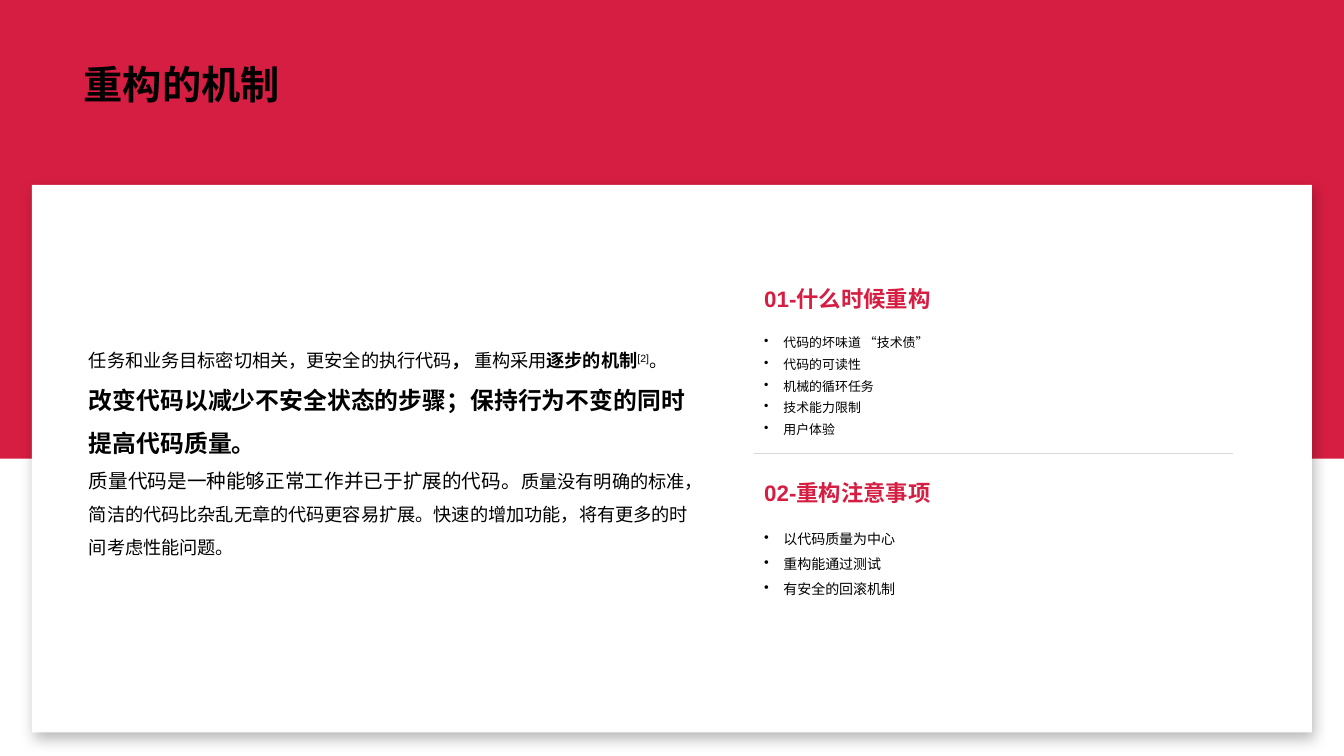
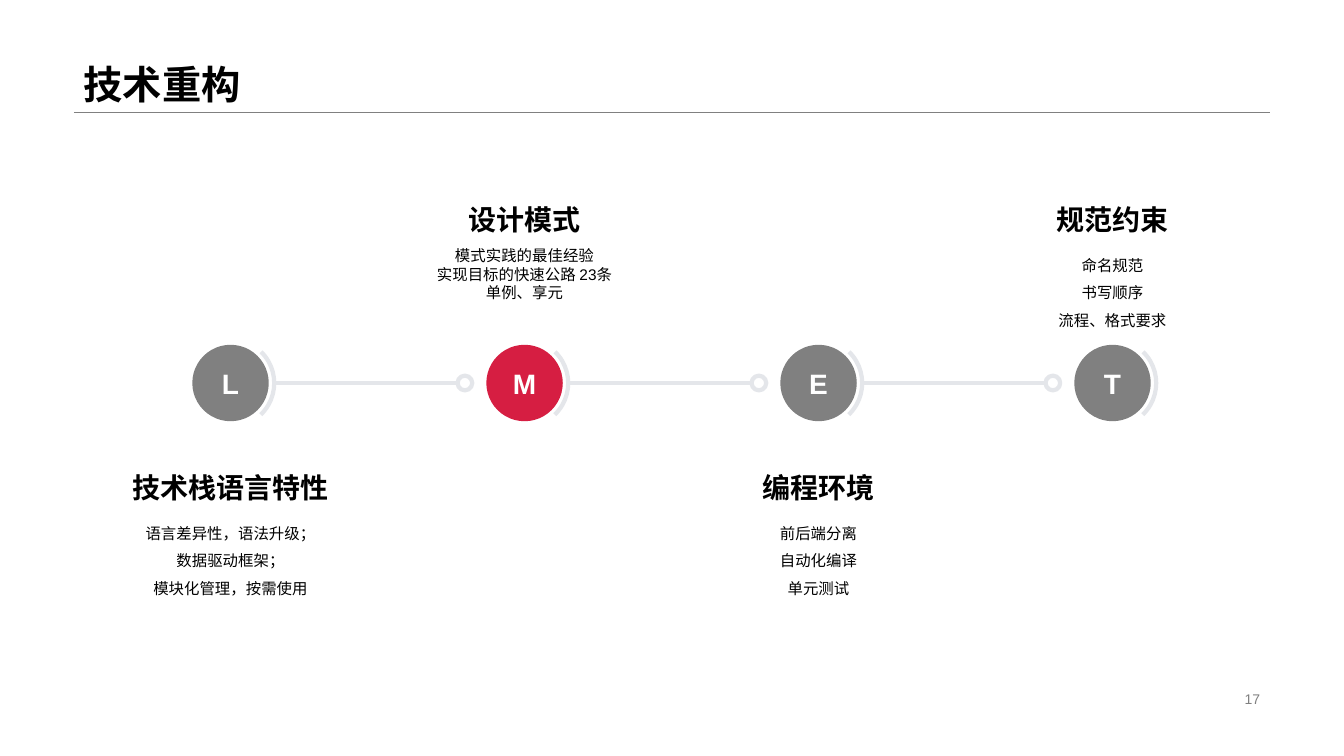
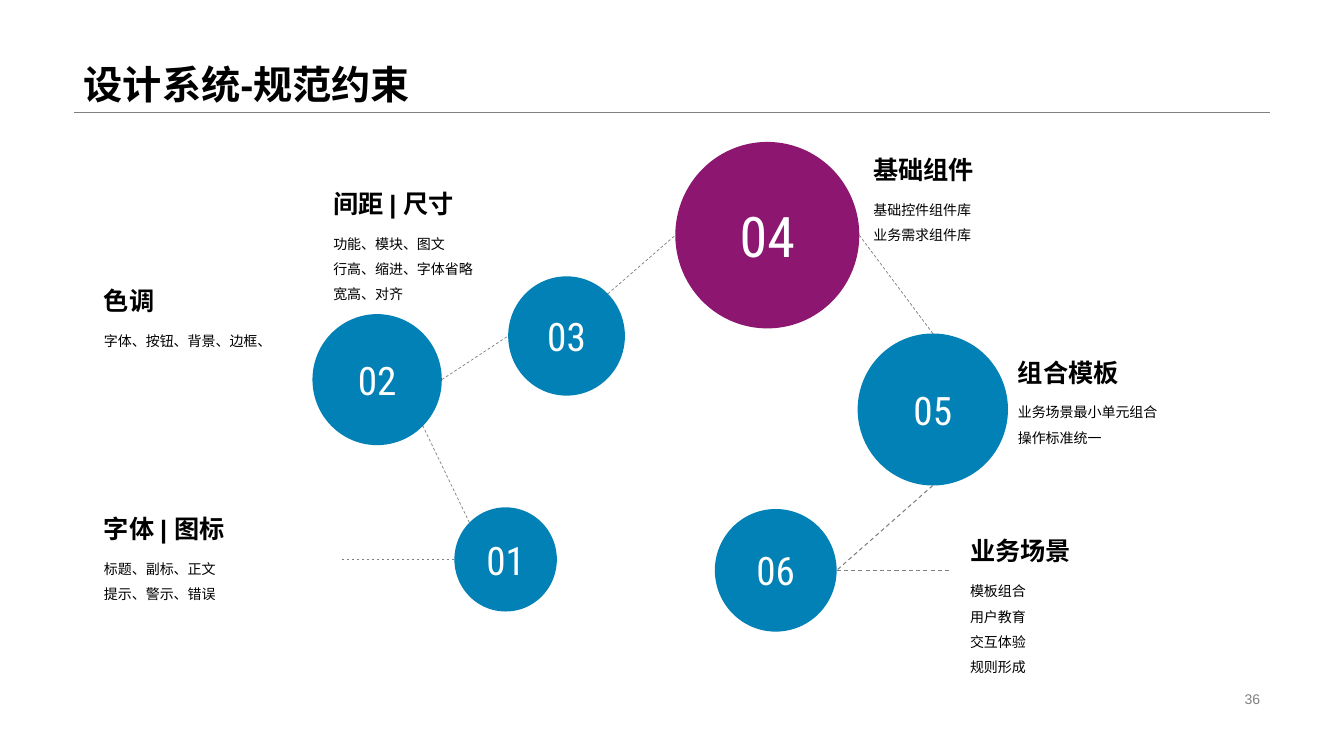
from math import cos, radians, sin

from lxml.etree import SubElement
from pptx import Presentation
from pptx.dml.color import RGBColor
from pptx.enum.dml import MSO_LINE
from pptx.enum.shapes import MSO_CONNECTOR, MSO_SHAPE
from pptx.enum.text import MSO_ANCHOR, PP_ALIGN
from pptx.oxml.ns import qn
from pptx.util import Emu, Inches, Pt

COLUMNS, ROWS = 160, 90
RED, BLUE, PURPLE = "D61E42", "0181B5", "8C1670"
BLACK, WHITE, GREY, SILVER, PALE = "000000", "FFFFFF", "808080", "E4E6EA", "D9D9D9"


def rgb(code):
    return RGBColor.from_string(code)


def grid(*cells):
    return [Emu(round(cell * Inches(1) / 12)) for cell in cells]


class Deck:
    """Holds the shared style and the current page, placing elements on a 160 by 90 grid."""

    font = "Arial"
    left, right, title_base = 8.8, 151.2, 13.4

    def __init__(self):
        self.presentation = Presentation()
        self.presentation.slide_width, self.presentation.slide_height = grid(COLUMNS, ROWS)
        self.page = None

    def new_page(self, number=None):
        self.page = self.presentation.slides.add_slide(self.presentation.slide_layouts[6])
        if number:
            self.line((self.left, self.title_base), (self.right, self.title_base), GREY, 0.25)
            self.text((113, 81.8, 38.2, 2.8), [number], 10, GREY,
                      align=PP_ALIGN.RIGHT, anchor=MSO_ANCHOR.MIDDLE)

    def title(self, title):
        self.text((self.left, 0, self.right - self.left, self.title_base), [title], 28,
                  bold=True, spacing=0.9, anchor=MSO_ANCHOR.BOTTOM)

    def shape(self, kind, area, fill=None, line=None, width=3):
        shape = self.page.shapes.add_shape(kind, *grid(*area))
        shape.shadow.inherit = False
        if fill:
            shape.fill.solid()
            shape.fill.fore_color.rgb = rgb(fill)
        else:
            shape.fill.background()
        if line:
            shape.line.color.rgb = rgb(line)
            shape.line.width = Pt(width)
        else:
            shape.line.fill.background()
        return shape

    def shadow(self, shape):
        effects = shape._element.spPr.find(qn("a:effectLst"))
        outer = SubElement(effects, qn("a:outerShdw"), blurRad=str(Pt(11)), dist=str(Pt(5)),
                           dir=str(65 * 60000), algn="ctr", rotWithShape="0")
        color = SubElement(outer, qn("a:srgbClr"), val=BLACK)
        SubElement(color, qn("a:alpha"), val="28000")

    def line(self, start, end, color, width, dash=None):
        line = self.page.shapes.add_connector(MSO_CONNECTOR.STRAIGHT, *grid(*start, *end))
        line.line.color.rgb = rgb(color)
        line.line.width = Pt(width)
        if dash:
            line.line.dash_style = dash
        SubElement(line._element.spPr, qn("a:effectLst"))

    def text(self, area, paras, size, color=BLACK, **style):
        box = self.page.shapes.add_textbox(*grid(*area))
        self.set_text(box, paras, size, color, **style)

    def set_text(self, box, paras, size, color, bold=False, spacing=None, bullet=False,
                 align=PP_ALIGN.LEFT, anchor=MSO_ANCHOR.TOP, font=None, wrap=True):
        frame = box.text_frame
        frame.word_wrap = wrap
        frame.vertical_anchor = anchor
        for index, content in enumerate(paras):
            para = frame.add_paragraph() if index else frame.paragraphs[0]
            para.alignment = align
            if bullet:
                properties = para._p.get_or_add_pPr()
                properties.set("marL", str(Inches(0.19)))
                properties.set("indent", str(-Inches(0.19)))
                SubElement(properties, qn("a:buChar"), char="•")
            if spacing:
                para.line_spacing = spacing
            para.font.name = font or self.font
            para.font.size = Pt(size)
            para.font.bold = bold
            para.font.color.rgb = rgb(color)
            spans = [(content, {})] if isinstance(content, str) else content
            for words, special in spans:
                self.span(para, words, **special)

    def span(self, para, words, size=None, bold=None, raised=False):
        span = para.add_run()
        span.text = words
        if size:
            span.font.size = Pt(size)
        if bold is not None:
            span.font.bold = bold
        if raised:
            span._r.get_or_add_rPr().set("baseline", "30000")

    def disc(self, area, label, fill, size, **style):
        disc = self.shape(MSO_SHAPE.OVAL, area, fill)
        self.set_text(disc, [label], size, WHITE, align=PP_ALIGN.CENTER,
                      anchor=MSO_ANCHOR.MIDDLE, wrap=False, **style)

    def topic(self, left, top, heading, lines):
        self.text((left, top, 28.8, 4.6), [heading], 18, bold=True)
        self.text((left, top + 4.6, 28.8, 1.2 + 3 * len(lines)), lines, 10, spacing=1.5)


def mechanism_page(deck):
    deck.new_page()
    deck.shape(MSO_SHAPE.RECTANGLE, (0, 0, COLUMNS, 54.6), RED)
    deck.shadow(deck.shape(MSO_SHAPE.RECTANGLE, (3.8, 22, 152.4, 65.2), WHITE))
    deck.title("重构的机制")
    sections = [
        ("01-什么时候重构", 9.2, 1.4,
         ["代码的坏味道 “技术债”", "代码的可读性", "机械的循环任务", "技术能力限制", "用户体验"]),
        ("02-重构注意事项", 10, 1.5, ["以代码质量为中心", "重构能通过测试", "有安全的回滚机制"]),
    ]
    for index, (heading, size, spacing, items) in enumerate(sections):
        top = 33.4 + 23 * index
        deck.text((89.8, top, 60.8, 4.4), [heading], 16, RED, bold=True)
        deck.text((89.8, top + 5.15, 60.8, 14.6), items, size, spacing=spacing, bullet=True)
    deck.line((89.8, 53.9), (146.8, 53.9), PALE, 0.25)
    strong = {"bold": True}
    deck.text((9.4, 39.7, 75.5, 27.4), [
        [("任务和业务目标密切相关，更安全的执行代码", {}), ("， ", strong), ("重构采用", {}),
         ("逐步的机制", strong), ("[2]", {"raised": True}), ("。", {})],
        [("改变代码以减少不安全状态的步骤；保持行为不变的同时提高代码质量。",
          {"size": 17, "bold": True})],
        [("质量代码是一种能够正常工作并已于扩展的代码。", {"size": 14}),
         ("质量没有明确的标准，简洁的代码比杂乱无章的代码更容易扩展。"
          "快速的增加功能，将有更多的时间考虑性能问题。", {})],
    ], 13, spacing=1.5, anchor=MSO_ANCHOR.MIDDLE)


def timeline_page(deck):
    deck.new_page("17")
    deck.title("技术重构")
    steps = [
        ("L", GREY, 54.5, 1.5, "技术栈语言特性",
         ["语言差异性，语法升级；", "数据驱动框架；", "模块化管理，按需使用"]),
        ("M", RED, 22.6, None, "设计模式",
         ["模式实践的最佳经验", "实现目标的快速公路 23条", "单例、享元"]),
        ("E", GREY, 54.5, 1.5, "编程环境", ["前后端分离", "自动化编译", "单元测试"]),
        ("T", GREY, 22.6, 1.5, "规范约束", ["命名规范", "书写顺序", "流程、格式要求"]),
    ]
    middle, pitch, width = 45.6, 35, 37.4

    def around(center, size):
        return center - size / 2, middle - size / 2, size, size

    for index, (letter, fill, top, spacing, heading, lines) in enumerate(steps):
        center = 27.45 + pitch * index
        if index < len(steps) - 1:
            deck.line((center + 5.4, middle), (center + 27, middle), SILVER, 3)
            deck.shape(MSO_SHAPE.OVAL, around(center + 27.9, 1.75), line=SILVER)
        arc = deck.shape(MSO_SHAPE.ARC, around(center, 10.4), line=SILVER)
        arc.rotation = 270
        arc.adjustments[0], arc.adjustments[1] = 26.57, 81.76
        deck.disc(around(center, 9.1), letter, fill, 20, bold=True)
        left = center - width / 2
        deck.text((left, top, width, 6.15), [heading], 20, bold=True,
                  align=PP_ALIGN.CENTER, anchor=MSO_ANCHOR.BOTTOM)
        deck.text((left, top + 6.15, width, 12.1), lines, 11, spacing=spacing,
                  align=PP_ALIGN.CENTER)


def design_system_page(deck):
    deck.new_page("36")
    deck.title("设计系统-规范约束")
    discs = {
        "01": (54.1, 60.4, 12.2, 12.4),
        "02": (37.2, 37.4, 15.4, 15.6),
        "03": (60.5, 32.9, 13.9, 14.2),
        "04": (80.4, 16.9, 21.9, 22.2),
        "05": (102.1, 39.7, 17.9, 18.1),
        "06": (85.1, 60.6, 14.5, 14.6),
    }

    def rim(label, angle):
        left, top, width, height = discs[label]
        turn = radians(angle)
        return left + width * (1 + cos(turn)) / 2, top + height * (1 + sin(turn)) / 2

    for label, area in discs.items():
        main_disc = label == "04"
        deck.disc(area, label, PURPLE if main_disc else BLUE, 40 if main_disc else 28,
                  font="Roboto Condensed")
    links = [
        (rim("01", 180), (40.6, 66.6), 0.5),
        (rim("01", 225), rim("02", 45), 0.5),
        (rim("02", 0), rim("03", 180), 0.5),
        (rim("03", 315), rim("04", 180), 0.5),
        (rim("04", 0), rim("05", 270), 0.5),
        (rim("05", 90), rim("06", 0), 0.75),
        (rim("06", 0), (113, 67.9), 0.75),
    ]
    for start, end, width in links:
        deck.line(start, end, GREY, width, MSO_LINE.DASH)
    topics = [
        (11.2, 60.5, "字体 | 图标", ["标题、副标、正文", "提示、警示、错误"]),
        (11.2, 33.4, "色调", ["字体、按钮、背景、边框、"]),
        (38.5, 21.8, "间距 | 尺寸", ["功能、模块、图文", "行高、缩进、字体省略", "宽高、对齐"]),
        (102.8, 17.8, "基础组件", ["基础控件组件库", "业务需求组件库"]),
        (120, 41.9, "组合模板", ["业务场景最小单元组合", "操作标准统一"]),
        (114.3, 63.2, "业务场景", ["模板组合", "用户教育", "交互体验", "规则形成"]),
    ]
    for topic in topics:
        deck.topic(*topic)


def main():
    deck = Deck()
    mechanism_page(deck)
    timeline_page(deck)
    design_system_page(deck)
    deck.presentation.save("out.pptx")


if __name__ == "__main__":
    main()
